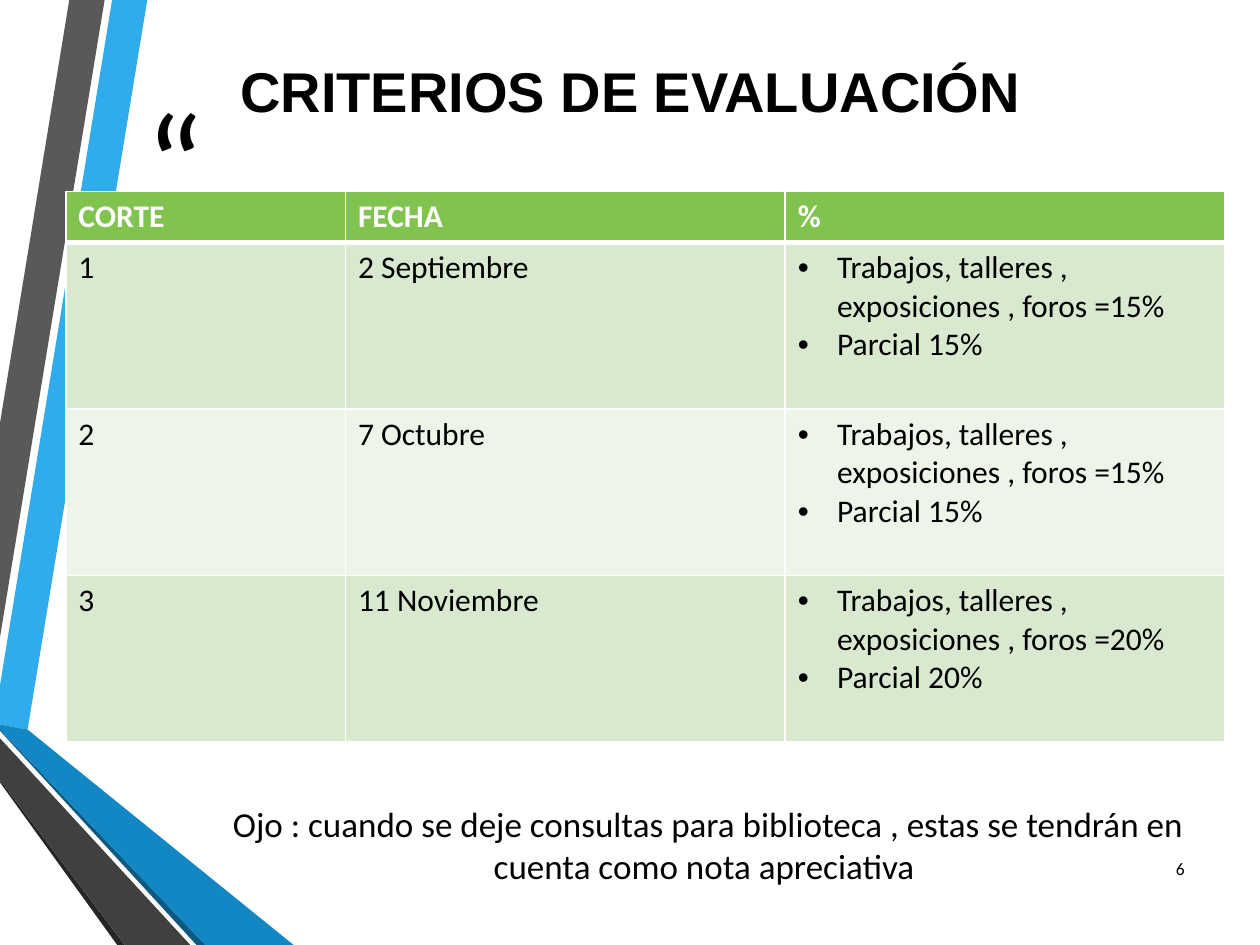
"""Build the evaluation criteria slide."""
from dataclasses import dataclass

from lxml import etree
from pptx import Presentation
from pptx.dml.color import RGBColor
from pptx.enum.text import MSO_ANCHOR, PP_ALIGN
from pptx.oxml.ns import qn
from pptx.util import Pt

LEFT, CENTER, RIGHT = PP_ALIGN.LEFT, PP_ALIGN.CENTER, PP_ALIGN.RIGHT
MIDDLE = MSO_ANCHOR.MIDDLE


@dataclass(frozen=True)
class Theme:
    heading_font: str = "Arial"
    body_font: str = "Calibri"
    ink: str = "000000"
    white: str = "FFFFFF"
    header: str = "80C34F"
    bands: tuple = ("D8E9D0", "EDF5E9")
    sky: str = "30ACEC"
    blue: str = "1287C3"
    navy: str = "0C5A82"
    grey: str = "595959"
    charcoal: str = "404040"
    black: str = "262626"
    quote_size: int = 80
    title_size: int = 32
    note_size: int = 20
    table_size: int = 18
    number_size: int = 10


class SlideBuilder:
    def __init__(self, slide, theme):
        self.slide = slide
        self.theme = theme

    def run(self, paragraph, text, size, color=None, bold=False, font=None):
        run = paragraph.add_run()
        run.text = text
        run.font.size = Pt(size)
        run.font.bold = bold
        run.font.name = font or self.theme.body_font
        run.font.color.rgb = RGBColor.from_string(color or self.theme.ink)

    def ribbon(self, color, points):
        start, *rest = [(Pt(x), Pt(y)) for x, y in points]
        outline = self.slide.shapes.build_freeform(*start)
        outline.add_line_segments(rest, close=True)
        ribbon = outline.convert_to_shape()
        ribbon.shadow.inherit = False
        ribbon.fill.solid()
        ribbon.fill.fore_color.rgb = RGBColor.from_string(color)
        ribbon.line.fill.background()

    def text(self, box, text, size, align=LEFT, bottom_inset=3.6, **style):
        frame = self.slide.shapes.add_textbox(*map(Pt, box)).text_frame
        frame.word_wrap = True
        frame.vertical_anchor = MIDDLE
        frame.margin_bottom = Pt(bottom_inset)
        paragraph = frame.paragraphs[0]
        paragraph.alignment = align
        self.run(paragraph, text, size, **style)

    def bullet(self, paragraph, indent=22.5):
        properties = paragraph._p.get_or_add_pPr()
        properties.set("marL", str(Pt(indent)))
        properties.set("indent", str(-Pt(indent)))
        etree.SubElement(properties, qn("a:buFont")).set("typeface", "Arial")
        etree.SubElement(properties, qn("a:buChar")).set("char", "•")

    def borders(self, cell, widths):
        properties = cell._tc.get_or_add_tcPr()
        for position, (side, width) in enumerate(widths.items()):
            line = etree.Element(qn(f"a:ln{side}"), w=str(Pt(width)))
            fill = etree.SubElement(line, qn("a:solidFill"))
            etree.SubElement(fill, qn("a:srgbClr")).set("val", self.theme.white)
            properties.insert(position, line)

    def cell(self, cell, content, fill, widths, color, bold):
        cell.fill.solid()
        cell.fill.fore_color.rgb = RGBColor.from_string(fill)
        self.borders(cell, widths)
        bulleted = isinstance(content, tuple)
        for index, line in enumerate(content if bulleted else (content,)):
            frame = cell.text_frame
            paragraph = frame.add_paragraph() if index else frame.paragraphs[0]
            if bulleted:
                self.bullet(paragraph)
            self.run(paragraph, line, self.theme.table_size, color, bold)

    def table(self, left, top, column_widths, row_heights, rows):
        theme = self.theme
        table = self.slide.shapes.add_table(
            len(rows), len(column_widths), Pt(left), Pt(top),
            Pt(sum(column_widths)), Pt(sum(row_heights))).table
        for column, width in zip(table.columns, column_widths):
            column.width = Pt(width)
        for index, (row, height) in enumerate(zip(table.rows, row_heights)):
            row.height = Pt(height)
            is_header = index == 0
            fill = theme.header if is_header else theme.bands[(index - 1) % 2]
            color = theme.white if is_header else theme.ink
            widths = {"L": 1, "R": 1, "T": 3 if index == 1 else 1,
                      "B": 3 if is_header else 1}
            for cell, content in zip(row.cells, rows[index]):
                self.cell(cell, content, fill, widths, color, is_header)


def main():
    theme = Theme()
    deck = Presentation()
    deck.slide_width, deck.slide_height = Pt(720), Pt(540)
    builder = SlideBuilder(deck.slides.add_slide(deck.slide_layouts[6]), theme)

    ribbons = [
        (theme.sky, [(0, 391.7), (0, 414), (15.8, 416.9), (84.2, 0), (64.1, 0)]),
        (theme.grey, [(59.8, 0), (39.6, 0), (0, 241.9), (0, 364.3)]),
        (theme.black, [(0, 445.7), (0, 447.1), (67, 540), (71.3, 540)]),
        (theme.navy, [(0, 416.9), (0, 417.6), (112.3, 540), (117.4, 540)]),
        (theme.blue, [(0, 416.9), (117.4, 540), (167.8, 540), (15.8, 416.9),
                      (0, 414)]),
        (theme.charcoal, [(0, 445.7), (71.3, 540), (108.7, 540), (0, 421.9)]),
    ]
    for color, points in ribbons:
        builder.ribbon(color, points)

    builder.text((76.3, 67.7, 36, 46), "“", theme.quote_size)
    builder.text((85.7, -12.2, 549.4, 127.4), "CRITERIOS DE EVALUACIÓN",
                 theme.title_size, CENTER, bold=True, font=theme.heading_font)
    builder.text((108.7, 439.2, 591.8, 113.8),
                 "Ojo : cuando se deje consultas para biblioteca , estas se "
                 "tendrán en cuenta como nota apreciativa ",
                 theme.note_size, CENTER, bottom_inset=31)
    builder.text((651.6, 481.7, 32.4, 28.8), "6", theme.number_size, RIGHT)

    cuts = [("1", "2 Septiembre", 15), ("2", "7 Octubre", 15),
            ("3", "11 Noviembre", 20)]
    rows = [("CORTE", "FECHA", "%")] + [
        (cut, date, (f"Trabajos, talleres , exposiciones , foros ={share}%",
                     f"Parcial {share}%"))
        for cut, date, share in cuts]
    builder.table(37.6, 109.4, [159.8, 251.3, 251.3],
                  [29.2] + [95.1] * len(cuts), rows)

    deck.save("out.pptx")


if __name__ == "__main__":
    main()
